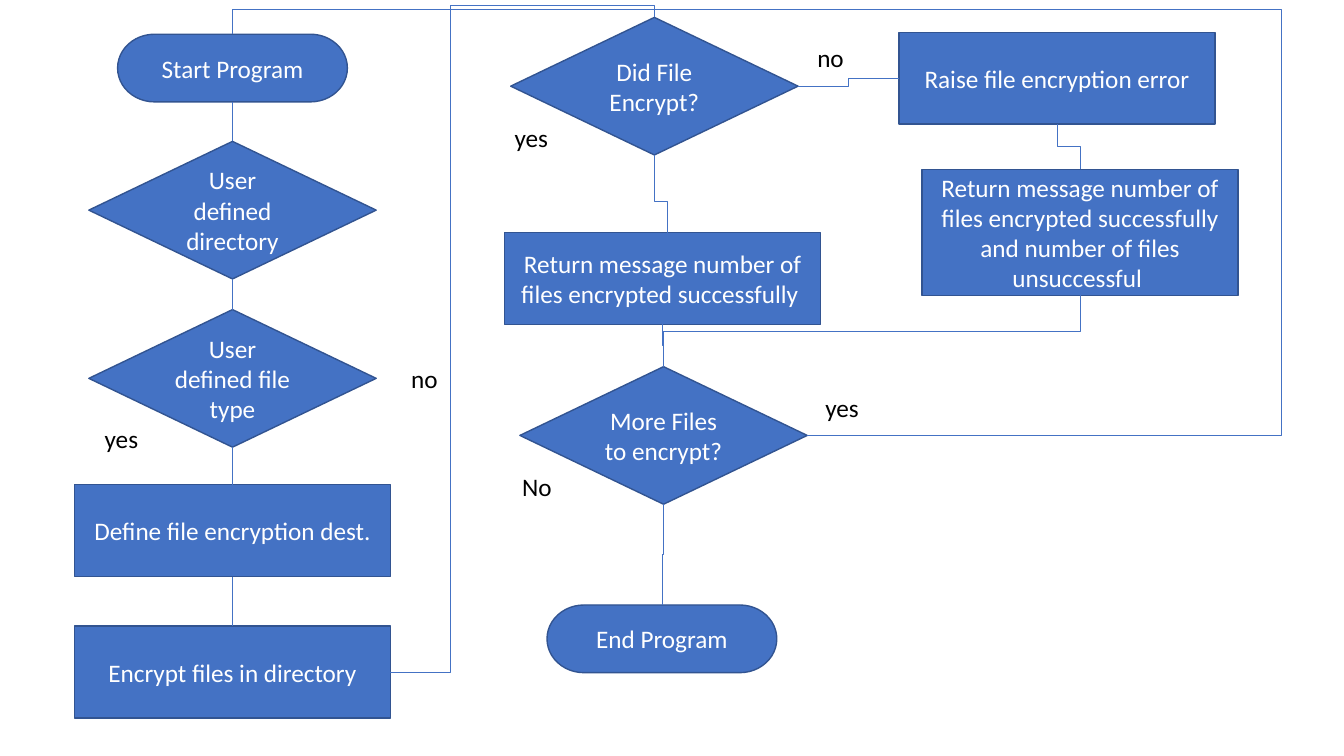
from collections import namedtuple
from dataclasses import dataclass

from lxml.etree import SubElement
from pptx import Presentation
from pptx.dml.color import RGBColor as RGB
from pptx.enum.shapes import MSO_CONNECTOR as LINE, MSO_SHAPE as SHAPE
from pptx.enum.text import MSO_ANCHOR as ANCHOR, MSO_AUTO_SIZE as FIT, PP_ALIGN as ALIGN
from pptx.oxml.ns import qn
from pptx.util import Inches, Pt


@dataclass(frozen=True)
class Theme:
    fill: RGB = RGB(0x44, 0x72, 0xC4)
    edge: RGB = RGB(0x32, 0x54, 0x91)
    light: RGB = RGB(0xFF, 0xFF, 0xFF)
    dark: RGB = RGB(0, 0, 0)
    font: str = "Calibri"
    size: Pt = Pt(18)
    edge_width: Pt = Pt(1)
    link_width: Pt = Pt(0.5)


THEME = Theme()
W, H = Inches(13.33), Inches(7.5)
TOP, LEFT, BOTTOM, RIGHT = range(4)  # connection sites

Box = namedtuple("Box", "left top width height")
Kind = namedtuple("Kind", "shape width height")

# Sizes are percentages of the slide
TERMINAL = Kind(SHAPE.FLOWCHART_TERMINATOR, 17.1, 8.95)
DECISION = Kind(SHAPE.FLOWCHART_DECISION, 21.38, 18.2)
PROCESS = Kind(SHAPE.RECTANGLE, 23.5, 12.15)
TALL_PROCESS = Kind(SHAPE.RECTANGLE, 23.5, 16.67)
LABEL_WIDTHS = {"no": 3.55, "No": 3.8, "yes": 4.05}


def across(percent):
    return int(W * percent / 100)


def down(percent):
    return int(H * percent / 100)


def region(left, top, width, height):
    return Box(across(left), down(top), across(width), down(height))


def centred(box, x, y, width, height):
    """Frame centred at x, y percent of the box, sized in percent of the slide."""
    w, h = across(width), down(height)
    return (int(box.left + box.width * x / 100 - w / 2),
            int(box.top + box.height * y / 100 - h / 2), w, h)


def write(tf, text, color, align):
    p = tf.paragraphs[0]
    p.text, p.alignment = text, align
    p.font.name, p.font.size = THEME.font, THEME.size
    p.font.color.rgb = color


def node(s, box, kind, x, y, text):
    sp = s.shapes.add_shape(kind.shape, *centred(box, x, y, kind.width, kind.height))
    sp.shadow.inherit = False
    sp.fill.solid()
    sp.fill.fore_color.rgb = THEME.fill
    sp.line.color.rgb, sp.line.width = THEME.edge, THEME.edge_width
    sp.text_frame.vertical_anchor = ANCHOR.MIDDLE
    write(sp.text_frame, text, THEME.light, ALIGN.CENTER)
    return sp


def label(s, box, x, y, text):
    frame = centred(box, x, y, LABEL_WIDTHS[text], 5.33)
    tf = s.shapes.add_textbox(*frame).text_frame
    tf.word_wrap, tf.auto_size = False, FIT.SHAPE_TO_FIT_TEXT
    write(tf, text, THEME.dark, ALIGN.LEFT)


def connect(s, start, site, end, end_site=TOP):
    """Elbow from a shape's site to another shape's site or to a slide point."""
    to_point = isinstance(end, tuple)
    c = s.shapes.add_connector(LINE.ELBOW, 0, 0, *(end if to_point else (0, 0)))
    c.begin_connect(start, site)
    if not to_point:
        c.end_connect(end, end_site)
    c.line.color.rgb, c.line.width = THEME.fill, THEME.link_width
    SubElement(c._element.spPr, qn("a:effectLst"))
    return c


def drop(s, start, end):
    """Elbow that leaves downwards: a horizontal elbow turned by 90 degrees."""
    c = connect(s, start, BOTTOM, end)
    x1, y1, x2, y2 = c.begin_x, c.begin_y, c.end_x, c.end_y
    cx, cy = (x1 + x2) // 2, (y1 + y2) // 2
    half_w, half_h = (y2 - y1) // 2, (x2 - x1) // 2
    c.begin_x, c.end_x = cx - half_w, cx + half_w
    c.begin_y, c.end_y = cy + half_h, cy - half_h
    c._element.spPr.find(qn("a:xfrm")).set("rot", "5400000")


def loop(s, start, end, lane_x, lane_y):
    """Elbow from a right side, along two lanes, down into a top."""
    c = connect(s, start, RIGHT, end)
    shares = ((across(lane_x) - c.begin_x) / (c.end_x - c.begin_x),
              (down(lane_y) - c.begin_y) / (c.end_y - c.begin_y))
    geom = c._element.spPr.find(qn("a:prstGeom"))
    geom.set("prst", "bentConnector4")
    guides = geom.find(qn("a:avLst"))
    if guides is None:
        guides = SubElement(geom, qn("a:avLst"))
    for i, share in enumerate(shares, 1):
        SubElement(guides, qn("a:gd"), name=f"adj{i}", fmla=f"val {round(share * 100000)}")


def setup_column(s, box):
    """Choose the input and encrypt it."""
    steps = [node(s, box, kind, 50, y, text) for kind, y, text in (
        (TERMINAL, 9, "Start Program"),
        (DECISION, 27.8, "User defined directory"),
        (DECISION, 50.05, "User defined file type"),
        (PROCESS, 70.2, "Define file encryption dest."),
        (PROCESS, 88.9, "Encrypt files in directory"))]
    for start, end in zip(steps, steps[1:]):
        drop(s, start, end)
    label(s, box, 111, 50, "no")
    label(s, box, 15, 58, "yes")
    return steps[0], steps[-1]


def result_column(s, box):
    """Check the result and ask for more files."""
    check, success, more, end = [node(s, box, *step) for step in (
        (DECISION, 47.4, 11.4, "Did File Encrypt?"),
        (PROCESS, 50, 36.85, "Return message number of files encrypted successfully "),
        (DECISION, 50.3, 57.6, "More Files to encrypt?"),
        (TERMINAL, 49.8, 84.5, "End Program"))]
    drop(s, check, (across(49.66), down(32.8)))
    drop(s, success, more)
    drop(s, more, end)
    for x, y, text in ((103.4, 7.6, "no"), (8.6, 18.15, "yes"),
                       (107, 53.9, "yes"), (10.5, 64.4, "No")):
        label(s, box, x, y, text)
    return check, more


def error_column(s, box):
    """Report the files that failed."""
    error = node(s, box, PROCESS, 46.6, 10.35, "Raise file encryption error")
    report = node(s, box, TALL_PROCESS, 53.4, 30.75,
                  "Return message number of files encrypted successfully "
                  "and number of files unsuccessful ")
    drop(s, error, report)
    return error, report


prs = Presentation()
prs.slide_width, prs.slide_height = W, H
s = prs.slides.add_slide(prs.slide_layouts[6])

# Columns of the flowchart
start, encrypt = setup_column(s, region(5.55, 0, 23.5, 100))
check, more = result_column(s, region(37.55, 0, 23.5, 100))
error, report = error_column(s, region(66.9, 0, 25.2, 100))

# Links between the columns
connect(s, check, RIGHT, error, LEFT)
drop(s, report, more)
loop(s, encrypt, check, 33.53, 0.67)
loop(s, more, start, 95.4, 1.2)

prs.save("out.pptx")
